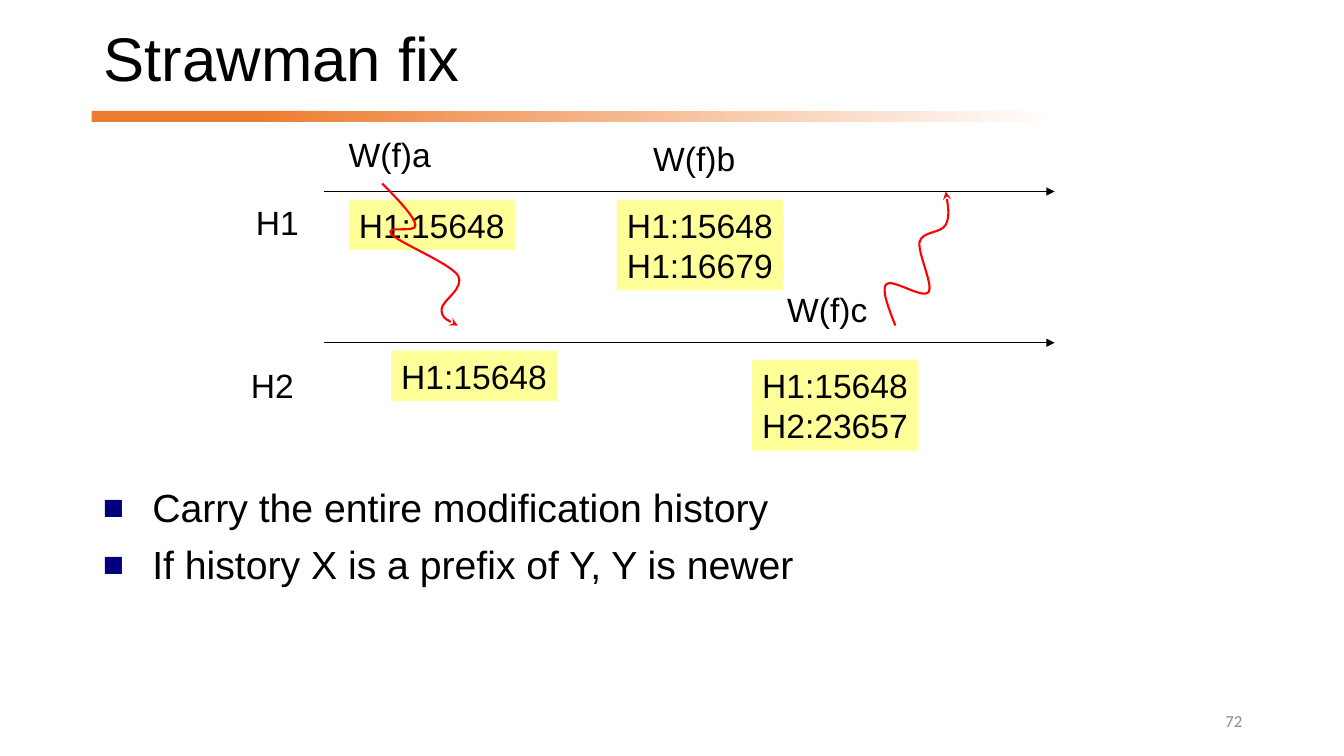
"""Build the "Strawman fix" slide: two host timelines with their modification histories."""
from dataclasses import dataclass
from typing import Any, Optional

from lxml import etree
from pptx import Presentation
from pptx import util as u
from pptx.dml.color import RGBColor
from pptx.enum import shapes, text
from pptx.oxml import ns

BLACK, ORANGE, YELLOW, RED = "000000", "ED7D31", "FFFF99", "FF0000"
LINE_HEIGHT = 0.4
Point = tuple[float, float]


@dataclass
class Label:
    left: float
    top: float
    width: float
    lines: list[str]
    fill: Optional[str] = None


@dataclass
class Message:
    start: Point
    curves: list[list[Point]]


TIMELINES = [1.9, 3.4]
LABELS = [
    Label(2.44, 1.95, 0.63, ["H1"]),
    Label(2.39, 3.57, 0.63, ["H2"]),
    Label(3.36, 1.28, 1.02, ["W(f)a"]),
    Label(6.38, 1.32, 1.02, ["W(f)b"]),
    Label(7.71, 2.82, 1, ["W(f)c"]),
    Label(3.46, 1.98, 1.65, ["H1:15648"], YELLOW),
    Label(3.88, 3.48, 1.65, ["H1:15648"], YELLOW),
    Label(6.12, 1.98, 1.65, ["H1:15648", "H1:16679"], YELLOW),
    Label(7.46, 3.57, 1.65, ["H1:15648", "H2:23657"], YELLOW),
]
MESSAGES = [
    Message((8.88, 3.23), [
        [(8.81, 3.05), (8.74, 2.87), (8.79, 2.82)],
        [(8.85, 2.76), (9.15, 2.97), (9.21, 2.9)],
        [(9.26, 2.83), (9.1, 2.51), (9.12, 2.4)],
        [(9.15, 2.29), (9.33, 2.32), (9.38, 2.23)],
        [(9.42, 2.15), (9.4, 2.02), (9.38, 1.9)],
    ]),
    Message((3.79, 1.82), [
        [(3.95, 1.98), (4.11, 2.15), (4.12, 2.23)],
        [(4.14, 2.32), (3.81, 2.23), (3.88, 2.32)],
        [(3.94, 2.4), (4.46, 2.61), (4.54, 2.73)],
        [(4.62, 2.86), (4.38, 2.98), (4.38, 3.07)],
        [(4.38, 3.15), (4.46, 3.19), (4.54, 3.23)],
    ]),
]
BULLETS = ["Carry the entire modification history", "If history X is a prefix of Y, Y is newer"]


def color(value: str) -> RGBColor:
    """Turn a hex string into a colour."""
    return RGBColor.from_string(value)


def apply(target: Any, values: dict[str, Any]) -> None:
    """Set each named attribute on the target."""
    for name, value in values.items():
        setattr(target, name, value)


def place(shape: Any, left: float, top: float, width: float, height: float) -> None:
    """Move and size a shape in inches."""
    sides = {"left": left, "top": top, "width": width, "height": height}
    apply(shape, {name: u.Inches(value) for name, value in sides.items()})


def write(shape: Any, lines: list[str], size: float, paragraph_format: dict[str, Any],
          font: str = "Arial", ink: str = BLACK) -> None:
    """Fill a shape with formatted paragraphs."""
    shape.text_frame.text = "\n".join(lines)
    for paragraph in shape.text_frame.paragraphs:
        apply(paragraph, paragraph_format)
        for run in paragraph.runs:
            apply(run.font, {"name": font, "size": u.Pt(size)})
            run.font.color.rgb = color(ink)


def add_bullet(paragraph: Any) -> None:
    """Give a paragraph a navy square bullet with a hanging indent."""
    properties = paragraph._p.get_or_add_pPr()
    indent = u.Inches(0.49)
    properties.set("marL", str(indent))
    properties.set("indent", str(-indent))
    bullet_color = etree.SubElement(properties, ns.qn("a:buClr"))
    etree.SubElement(bullet_color, ns.qn("a:srgbClr"), val="00007D")
    etree.SubElement(properties, ns.qn("a:buSzPct"), val="90000")
    etree.SubElement(properties, ns.qn("a:buFont"), typeface="Arial")
    etree.SubElement(properties, ns.qn("a:buChar"), char="■")


def style_arrow(shape: Any, ink: str, width: float, head: str) -> None:
    """Set line colour and width, and put an arrowhead at the end."""
    shape.line.color.rgb = color(ink)
    shape.line.width = u.Pt(width)
    etree.SubElement(shape.line._get_or_add_ln(), ns.qn("a:tailEnd"), type=head)


def add_bar(slide: Any, left: float, width: float, fade: bool) -> None:
    """Add one part of the orange rule below the title."""
    bar = slide.shapes.add_shape(shapes.MSO_SHAPE.RECTANGLE, u.Inches(left), u.Inches(1.1),
                                 u.Inches(width), u.Inches(0.11))
    bar.shadow.inherit = False
    bar.line.fill.background()
    if fade:
        bar.fill.gradient()
        bar.fill.gradient_angle = 0
        for stop, (position, value) in zip(bar.fill.gradient_stops, [(0, ORANGE), (1, "FFFFFF")]):
            stop.position = position
            stop.color.rgb = color(value)
    else:
        bar.fill.solid()
        bar.fill.fore_color.rgb = color(ORANGE)


def add_timeline(slide: Any, top: float) -> None:
    """Add one horizontal time arrow."""
    arrow = slide.shapes.add_connector(shapes.MSO_CONNECTOR.STRAIGHT, u.Inches(3.21), u.Inches(top),
                                       u.Inches(10.46), u.Inches(top))
    style_arrow(arrow, BLACK, 0.75, "triangle")
    etree.SubElement(arrow._element.spPr, ns.qn("a:effectLst"))


def add_label(slide: Any, label: Label) -> None:
    """Add a text label, filled when it shows a history."""
    box = slide.shapes.add_textbox(0, 0, 0, 0)
    place(box, label.left, label.top, label.width, 0.1 + LINE_HEIGHT * len(label.lines))
    box.text_frame.word_wrap = False
    if label.fill:
        box.fill.solid()
        box.fill.fore_color.rgb = color(label.fill)
    write(box, label.lines, 24, {})


def add_message(slide: Any, message: Message) -> None:
    """Add a curved red arrow, joining each three points into one Bezier segment."""
    builder = slide.shapes.build_freeform(*message.start, scale=u.Inches(1))
    builder = slide.shapes.build_freeform(*(u.Inches(value) for value in message.start))
    builder.add_line_segments([(u.Inches(x), u.Inches(y)) for curve in message.curves for x, y in curve],
                              close=False)
    shape = builder.convert_to_shape()
    steps = list(shape._element.iter(ns.qn("a:lnTo")))
    for first in range(0, len(steps), 3):
        curve = etree.Element(ns.qn("a:cubicBezTo"))
        steps[first].addprevious(curve)
        for step in steps[first:first + 3]:
            curve.append(step[0])
            step.getparent().remove(step)
    shape.shadow.inherit = False
    shape.fill.background()
    style_arrow(shape, RED, 1.5, "stealth")


def main() -> None:
    """Build and save the presentation."""
    presentation = Presentation()
    apply(presentation, {"slide_width": u.Inches(13.33), "slide_height": u.Inches(7.5)})
    slide = presentation.slides.add_slide(presentation.slide_layouts[1])
    title, body = slide.placeholders
    place(title, 0.93, 0.17, 11.14, 0.89)
    title.text_frame.vertical_anchor = text.MSO_ANCHOR.MIDDLE
    write(title, ["Strawman fix"], 44, {"alignment": text.PP_ALIGN.LEFT, "line_spacing": 0.9})
    place(body, 0.92, 4.8, 11.5, 1.98)
    write(body, BULLETS, 28, {"line_spacing": 0.9, "space_before": u.Pt(10)})
    body.text_frame.paragraphs[0].space_before = u.Pt(0)
    for paragraph in body.text_frame.paragraphs:
        add_bullet(paragraph)
    add_bar(slide, 0.91, 2.33, fade=False)
    add_bar(slide, 2.57, 7.92, fade=True)
    for top in TIMELINES:
        add_timeline(slide, top)
    for label in LABELS:
        add_label(slide, label)
    for message in MESSAGES:
        add_message(slide, message)
    number = slide.shapes.add_textbox(0, 0, 0, 0)
    place(number, 9.42, 6.95, 3, 0.4)
    apply(number.text_frame, {"word_wrap": True, "vertical_anchor": text.MSO_ANCHOR.MIDDLE})
    write(number, ["72"], 12, {"alignment": text.PP_ALIGN.RIGHT}, "Calibri", "8C8C8C")
    presentation.save("out.pptx")


if __name__ == "__main__":
    main()
